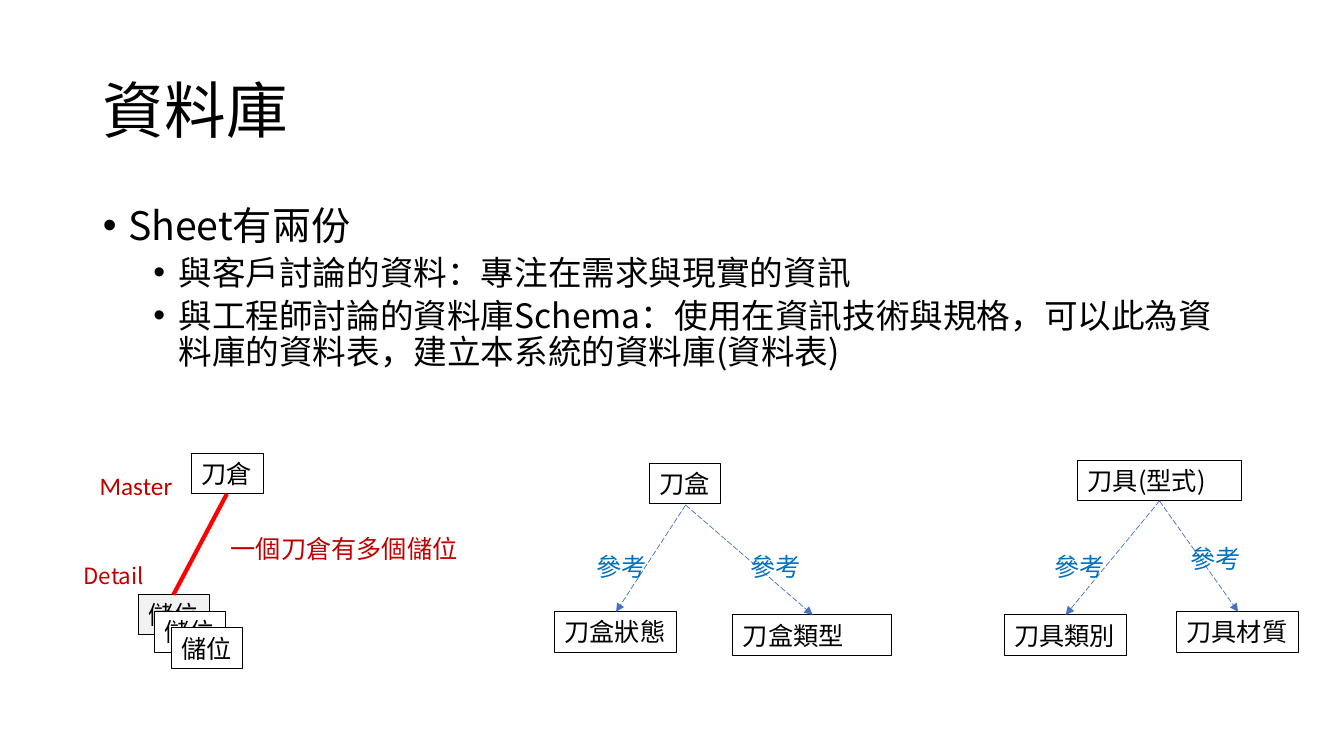
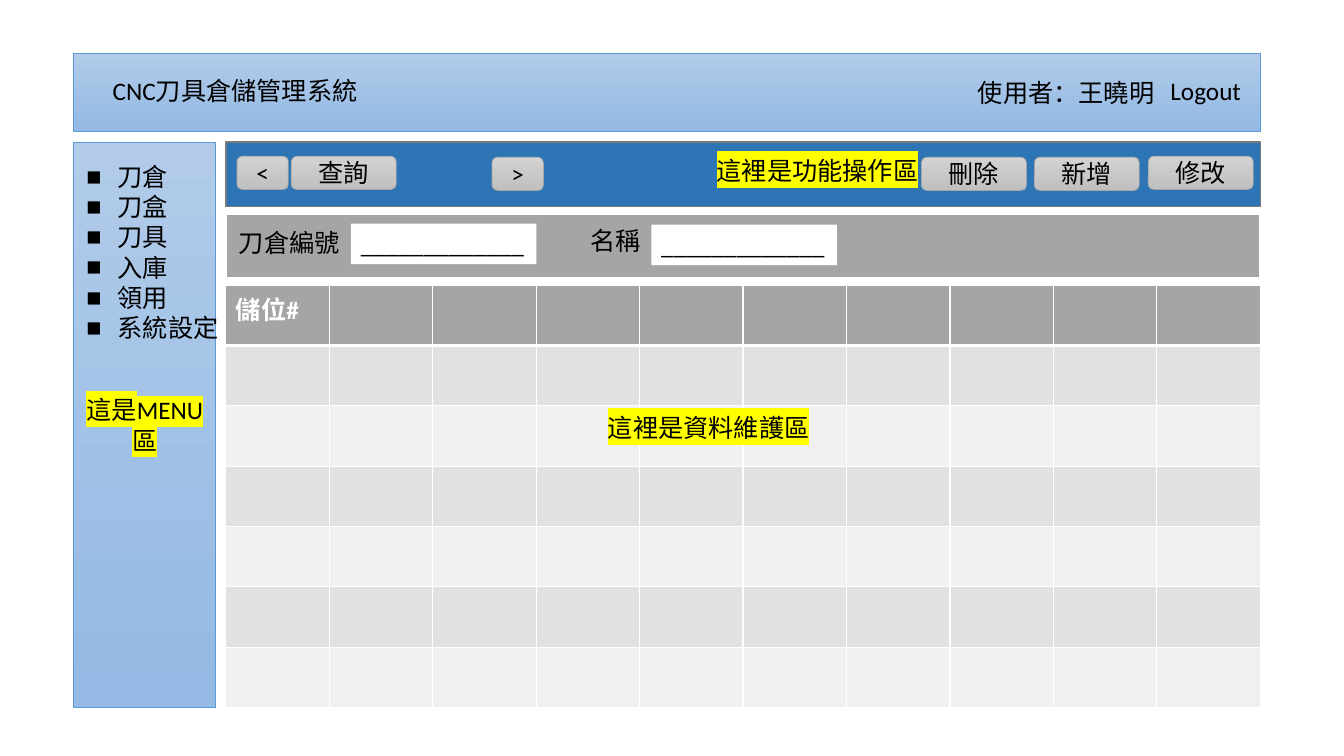
import pptx
import pptx.dml.color
import pptx.enum.shapes
import pptx.enum.text
import pptx.oxml
import pptx.oxml.ns
import pptx.util
from lxml import etree

Inches = pptx.util.Inches
Pt = pptx.util.Pt
RGB = pptx.dml.color.RGBColor.from_string
qn = pptx.oxml.ns.qn
ALIGN = pptx.enum.text.PP_ALIGN
ANCHOR = pptx.enum.text.MSO_ANCHOR
SHAPE = pptx.enum.shapes.MSO_SHAPE

COLORS = {
    "ink": "000000", "white": "FFFFFF", "pale": "F2F2F2", "note": "C00000",
    "reference": "0070C0", "arrow": "4472C4", "link": "FF0000", "highlight": "FFFF00",
    "panel_top": "B1CBE9", "panel_end": "93B9E4", "panel_edge": "5B9BD5",
    "toolbar": "2E75B6", "toolbar_edge": "7A7A7A", "gray": "A5A5A5",
    "button_top": "D2D2D2", "button_end": "C0C0C0", "odd_row": "E1E1E1", "even_row": "F0F0F0",
}
CJK = "Noto Sans CJK SC"
LATIN = "Calibri"
PANEL = ("panel_top", "panel_end")
BUTTON = ("button_top", "button_end")


def write(paragraph, text, size=18, font=LATIN, color="ink", highlight=False, bold=False,
          bullet=None, margin=0, hang=0):
    """Add one formatted run to a paragraph, with a hanging bullet if one is given."""
    run = paragraph.add_run()
    run.text = text
    run.font.size = Pt(size)
    run.font.bold = bold
    run.font.color.rgb = RGB(COLORS[color])
    props = run.font._element
    if highlight:
        mark = etree.SubElement(props, qn("a:highlight"))
        etree.SubElement(mark, qn("a:srgbClr"), val=COLORS["highlight"])
    run.font.name = font
    etree.SubElement(props, qn("a:ea"), typeface=CJK)
    if bullet:
        layout = paragraph._p.get_or_add_pPr()
        layout.set("marL", str(Inches(margin)))
        layout.set("indent", str(-Inches(hang)))
        etree.SubElement(layout, qn("a:buFont"), typeface="Arial")
        etree.SubElement(layout, qn("a:buChar"), char=bullet)


def add_box(slide, text, left, top, width, height=0.4, kind=None, fill=None, edge=None,
            weight=0.75, wrap=False, centered=False, **style):
    """Add a text box, or a preset shape when kind is given; a pair of fills is a gradient."""
    place = [Inches(n) for n in (left, top, width, height)]
    if kind is None:
        box = slide.shapes.add_textbox(*place)
    else:
        box = slide.shapes.add_shape(kind, *place)
        box.shadow.inherit = False
    if isinstance(fill, tuple):
        box.fill.gradient()
        box.fill.gradient_angle = 270
        for stop, name in zip(box.fill.gradient_stops, fill):
            stop.color.rgb = RGB(COLORS[name])
    elif fill:
        box.fill.solid()
        box.fill.fore_color.rgb = RGB(COLORS[fill])
    else:
        box.fill.background()
    if edge:
        box.line.color.rgb = RGB(COLORS[edge])
        box.line.width = Pt(weight)
    else:
        box.line.fill.background()
    frame = box.text_frame
    frame.word_wrap = wrap
    frame.vertical_anchor = ANCHOR.MIDDLE if centered else ANCHOR.TOP
    lines = [text] if isinstance(text, str) else text
    for index, line in enumerate(lines):
        paragraph = frame.add_paragraph() if index else frame.paragraphs[0]
        paragraph.alignment = ALIGN.CENTER if centered else ALIGN.LEFT
        if line:
            write(paragraph, line, **style)


deck = pptx.Presentation()
deck.slide_width = Inches(13.33)
deck.slide_height = Inches(7.5)

# Slide 1: database overview
database = deck.slides.add_slide(deck.slide_layouts[1])
heading, points = database.placeholders
for part, top, height, anchor in ((heading, 0.4, 1.45, ANCHOR.MIDDLE), (points, 2, 4.76, ANCHOR.TOP)):
    part.left, part.top, part.width, part.height = (Inches(n) for n in (0.92, top, 11.5, height))
    part.text_frame.word_wrap = True
    part.text_frame.auto_size = pptx.enum.text.MSO_AUTO_SIZE.NONE
    part.text_frame.vertical_anchor = anchor

title_line = heading.text_frame.paragraphs[0]
title_line.alignment = ALIGN.LEFT
title_line.line_spacing = 0.9
write(title_line, "資料庫", 44, CJK)

for index, (level, text) in enumerate((
    (0, "Sheet有兩份"),
    (1, "與客戶討論的資料：專注在需求與現實的資訊"),
    (1, "與工程師討論的資料庫Schema：使用在資訊技術與規格，可以此為資料庫的資料表，建立本系統的資料庫(資料表)"),
)):
    point = points.text_frame.add_paragraph() if index else points.text_frame.paragraphs[0]
    point.level = level
    point.line_spacing = 0.9
    point.space_before = Pt(5 if level else 10)
    write(point, text, 24 if level else 28, CJK, bullet="•", margin=0.25 + 0.5 * level, hang=0.25)

for text, left, top, width, fill in (
    ("刀盒", 6.44, 4.6, 0.71, None),
    ("刀具(型式)", 10.69, 4.57, 1.62, None),
    ("刀倉", 1.9, 4.5, 0.71, None),
    ("儲位", 1.37, 5.9, 0.71, "pale"),
    ("刀具類別", 9.96, 6.1, 1.21, None),
    ("刀具材質", 11.67, 6.07, 1.21, None),
    ("刀盒狀態", 5.5, 6.07, 1.21, None),
    ("刀盒類型", 7.27, 6.1, 1.57, None),
    ("儲位", 1.53, 6.07, 0.71, "white"),
    ("儲位", 1.7, 6.23, 0.71, "white"),
):
    add_box(database, text, left, top, width, kind=SHAPE.RECTANGLE, fill=fill, edge="ink",
            wrap=width > 1.5, font=CJK)

for start_x, start_y, end_x, end_y, is_reference in (
    (6.8, 5.01, 6.11, 6.07, True),
    (6.8, 5.01, 8.06, 6.1, True),
    (11.5, 4.97, 10.57, 6.1, True),
    (11.5, 4.97, 12.28, 6.07, True),
    (2.25, 4.9, 1.72, 5.9, False),
):
    relation = database.shapes.add_connector(
        pptx.enum.shapes.MSO_CONNECTOR.STRAIGHT,
        Inches(start_x), Inches(start_y), Inches(end_x), Inches(end_y))
    relation.line.color.rgb = RGB(COLORS["arrow" if is_reference else "link"])
    relation.line.width = Pt(0.5 if is_reference else 3)
    if is_reference:
        relation.line.dash_style = pptx.enum.dml.MSO_LINE.LONG_DASH
        etree.SubElement(relation.line._get_or_add_ln(), qn("a:tailEnd"), type="triangle")
    etree.SubElement(relation._element.spPr, qn("a:effectLst"))

for left, top in ((7.34, 5.42), (5.82, 5.42), (10.36, 5.42), (11.71, 5.34)):
    add_box(database, "參考", left, top, 0.71, font=CJK, color="reference")
add_box(database, "Master", 0.89, 4.62, 0.93, color="note")
add_box(database, "Detail", 0.73, 5.53, 0.82, 0.37, size=16, font=CJK, color="note")
add_box(database, "一個刀倉有多個儲位", 2.19, 5.24, 2.47, font=CJK, color="note")

# Slide 2: screen layout
screen = deck.slides.add_slide(deck.slide_layouts[6])
add_box(screen, "", 0.73, 0.53, 11.77, 0.77, SHAPE.RECTANGLE, PANEL, "panel_edge", 0.5)
add_box(screen, "這是MENU區", 0.73, 1.41, 1.41, 5.61, SHAPE.RECTANGLE, PANEL, "panel_edge", 0.5,
        wrap=True, centered=True, highlight=True)
add_box(screen, "", 2.24, 1.41, 10.26, 0.64, SHAPE.RECTANGLE, "toolbar", "toolbar_edge", 1)

ROWS, COLUMNS = 7, 10
slots = screen.shapes.add_table(ROWS, COLUMNS, Inches(2.24), Inches(2.83),
                                Inches(10.26), Inches(4.19)).table
for row in range(ROWS):
    for column in range(COLUMNS):
        cell = slots.cell(row, column)
        cell_props = cell._tc.get_or_add_tcPr()
        for side in ("lnL", "lnR", "lnT", "lnB"):
            under_header = (row, side) in ((0, "lnB"), (1, "lnT"))
            border = etree.SubElement(cell_props, qn("a:" + side), w=str(Pt(3 if under_header else 1)))
            paint = etree.SubElement(border, qn("a:solidFill"))
            etree.SubElement(paint, qn("a:srgbClr"), val=COLORS["white"])
        cell.fill.solid()
        shade = "gray" if row == 0 else "odd_row" if row % 2 else "even_row"
        cell.fill.fore_color.rgb = RGB(COLORS[shade])
write(slots.cell(0, 0).text_frame.paragraphs[0], "儲位#", color="white", bold=True)

for text, left, top, width in (
    ("CNC刀具倉儲管理系統", 1.02, 0.7, 2.9),
    ("使用者：王曉明", 9.6, 0.72, 1.98),
    ("Logout", 11.51, 0.7, 0.91),
):
    add_box(screen, text, left, top, width, wrap=True)

for text, left, top, width in (
    ("<", 2.35, 1.55, 0.51),
    ("查詢", 2.89, 1.55, 1.04),
    (">", 4.88, 1.56, 0.51),
    ("刪除", 9.14, 1.56, 1.04),
    ("新增", 10.26, 1.56, 1.04),
    ("修改", 11.39, 1.55, 1.04),
):
    add_box(screen, text, left, top, width, 0.33, SHAPE.ROUNDED_RECTANGLE, BUTTON, "gray", 0.5,
            wrap=True, centered=True)

add_box(screen, "", 2.24, 2.12, 10.26, 0.64, SHAPE.RECTANGLE, "gray", "white", 1.5)
for text, left, top, width in (("刀倉編號", 2.27, 2.21, 1.21), ("名稱", 5.76, 2.19, 0.71)):
    add_box(screen, text, left, top, width)
for left, top in ((3.48, 2.22), (6.46, 2.23)):
    add_box(screen, "_" * 13, left, top, 1.84, kind=SHAPE.RECTANGLE, fill="white")

add_box(screen, ["刀倉", "刀盒", "刀具", "入庫", "領用", "系統設定"], 0.76, 1.55, 1.53, 1.92,
        bullet="■", margin=0.31, hang=0.31)
add_box(screen, "這裡是資料維護區", 5.93, 4.04, 2.22, highlight=True)
add_box(screen, "這裡是功能操作區", 7.01, 1.49, 2.22, highlight=True)

deck.save("out.pptx")
